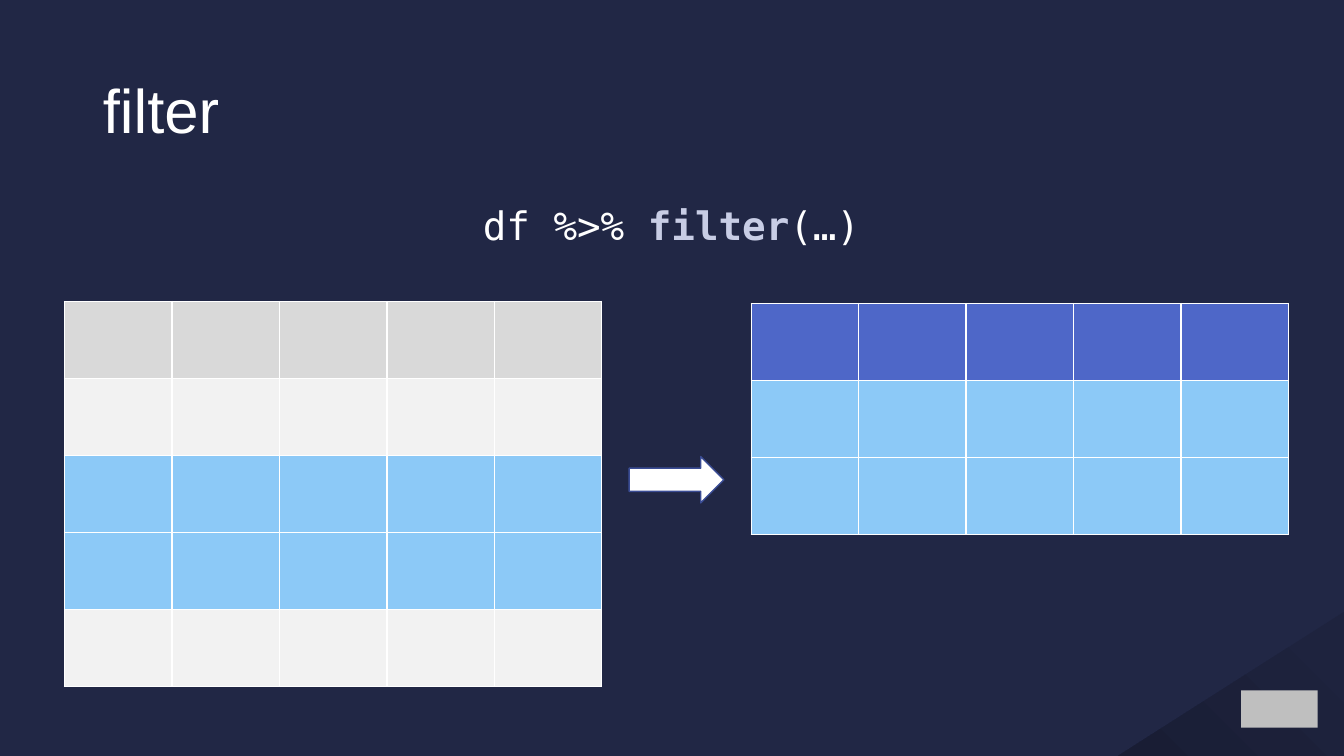
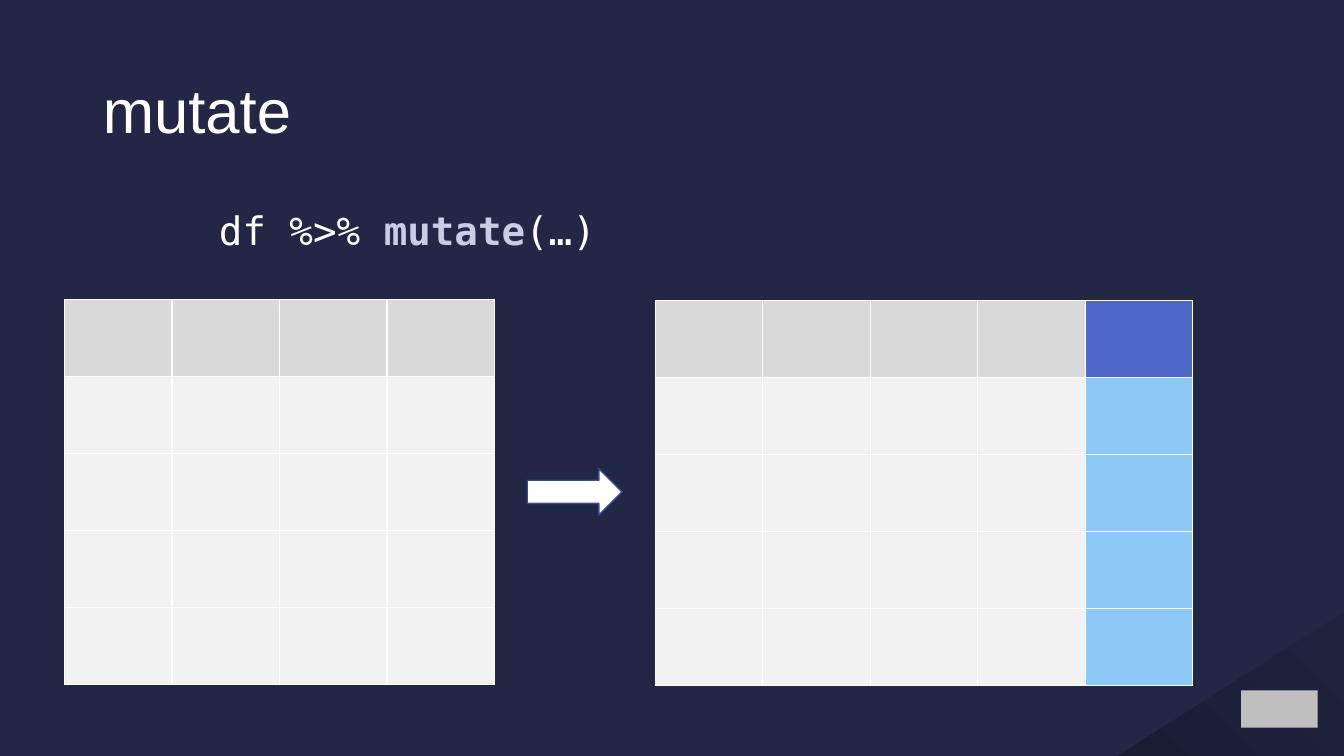
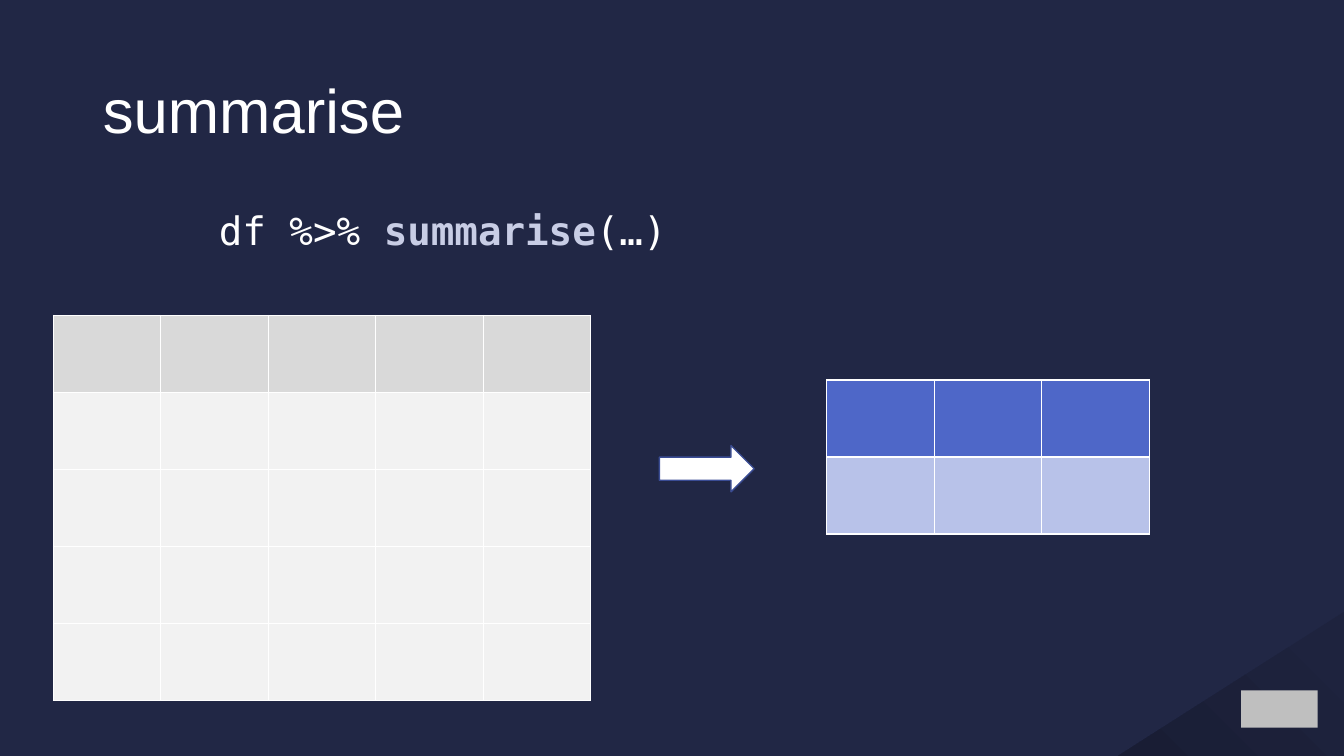
from pptx import Presentation
from pptx.dml.color import RGBColor
from pptx.enum.shapes import MSO_SHAPE
from pptx.enum.text import MSO_ANCHOR, PP_ALIGN
from pptx.util import Inches, Pt

TRIANGLE = MSO_SHAPE.ISOSCELES_TRIANGLE
RECTANGLE = MSO_SHAPE.RECTANGLE
RIGHT_ARROW = MSO_SHAPE.RIGHT_ARROW
MIDDLE = MSO_ANCHOR.MIDDLE
LEFT = PP_ALIGN.LEFT

COLORS = {
    "background": "212745",
    "corner_start": "1E233E",
    "corner_end": "191D34",
    "logo": "BFBFBF",
    "white": "FFFFFF",
    "function": "C8CDE5",
    "arrow_line": "3A4C94",
    "old_header": "D9D9D9",
    "old_row": "F2F2F2",
    "new_header": "4E67C8",
    "new_row": "8CC9F7",
    "summary_row": "B8C2E9",
}
# One letter per table cell
CELL_FILLS = {
    "H": "old_header",
    "o": "old_row",
    "N": "new_header",
    "n": "new_row",
    "s": "summary_row",
}
COL_WIDTH = Inches(5.33) // 5
ROW_HEIGHT = Inches(3.82) // 5

# Positions are (left, top) in inches; code is (left, top, width)
SLIDES = [
    {
        "function": "filter",
        "code": (3.3, 2, 6.64),
        "arrow": (6.24, 4.53),
        "tables": [
            ((0.64, 2.99), ["HHHHH", "ooooo", "nnnnn", "nnnnn", "ooooo"]),
            ((7.45, 3.01), ["NNNNN", "nnnnn", "nnnnn"]),
        ],
    },
    {
        "function": "mutate",
        "code": (0.68, 2.05, 11.96),
        "arrow": (5.23, 4.65),
        "tables": [
            ((0.64, 2.97), ["HHHH"] + ["oooo"] * 4),
            ((6.5, 2.98), ["HHHHN"] + ["oooon"] * 4),
        ],
    },
    {
        "function": "summarise",
        "code": (0.68, 2.05, 11.96),
        "arrow": (6.54, 4.42),
        "tables": [
            ((0.53, 3.13), ["HHHHH"] + ["ooooo"] * 4),
            ((8.2, 3.77), ["NNN", "sss"]),
        ],
    },
]


def rgb(name):
    """Look a colour up by its name in COLORS."""
    return RGBColor.from_string(COLORS[name])


def add_plain_shape(slide, kind, left, top, width, height, color):
    """Add a preset shape with a solid fill, no outline and no shadow."""
    sp = slide.shapes.add_shape(
        kind, Inches(left), Inches(top), Inches(width), Inches(height))
    sp.shadow.inherit = False
    sp.fill.solid()
    sp.fill.fore_color.rgb = rgb(color)
    sp.line.fill.background()
    return sp


prs = Presentation()
prs.slide_width = Inches(13.33)
prs.slide_height = Inches(7.5)

master = prs.slide_master
master.background.fill.solid()
master.background.fill.fore_color.rgb = rgb("background")

layout = prs.slide_layouts.get_by_name("Title Only")
title = layout.placeholders[0]
title.left, title.top = Inches(0.92), Inches(0.4)
title.width, title.height = Inches(11.5), Inches(1.45)

slides = [prs.slides.add_slide(layout) for _ in SLIDES]

# Corner and logo mark are drawn on a slide, then moved to the master
corner = add_plain_shape(slides[0], TRIANGLE, 11.09, 6.07, 2.24, 1.43, "corner_end")
corner.adjustments[0] = 0
corner.element.spPr.xfrm.set("flipH", "1")
corner.fill.gradient()
corner.fill.gradient_angle = 315
start, end = corner.fill.gradient_stops
start.position, start.color.rgb = 0.06, rgb("corner_start")
end.position, end.color.rgb = 1, rgb("corner_end")
logo = add_plain_shape(slides[0], RECTANGLE, 12.31, 6.85, 0.76, 0.37, "logo")
for sp in (corner, logo):
    master.shapes.element.append(sp.element)

for slide, content in zip(slides, SLIDES):
    title = slide.shapes.title
    title.text = content["function"]
    title.text_frame.vertical_anchor = MIDDLE
    p = title.text_frame.paragraphs[0]
    p.alignment = LEFT
    p.line_spacing = 0.9
    p.font.size = Pt(44)
    p.font.name = "Arial"
    p.font.color.rgb = rgb("white")

    for (left, top), rows in content["tables"]:
        n_rows, n_cols = len(rows), len(rows[0])
        table = slide.shapes.add_table(
            n_rows, n_cols, Inches(left), Inches(top),
            COL_WIDTH * n_cols, ROW_HEIGHT * n_rows).table
        for i, row in enumerate(rows):
            for j, letter in enumerate(row):
                fill = table.cell(i, j).fill
                fill.solid()
                fill.fore_color.rgb = rgb(CELL_FILLS[letter])

    arrow = add_plain_shape(slide, RIGHT_ARROW, *content["arrow"], 0.94, 0.46, "white")
    arrow.line.color.rgb = rgb("arrow_line")
    arrow.line.width = Pt(1)

    left, top, width = content["code"]
    box = slide.shapes.add_textbox(Inches(left), Inches(top), Inches(width), Inches(0.86))
    tf = box.text_frame
    tf.word_wrap = True
    tf.margin_left = Inches(1.49)
    p = tf.paragraphs[0]
    p.line_spacing = 0.9
    p.font.size = Pt(28)
    p.font.name = "DejaVu Sans Mono"
    for text, color, bold in [
        ("df %>% ", "white", False),
        (content["function"], "function", True),
        ("(…)", "white", False),
    ]:
        r = p.add_run()
        r.text = text
        r.font.bold = bold
        r.font.color.rgb = rgb(color)

prs.save("out.pptx")
